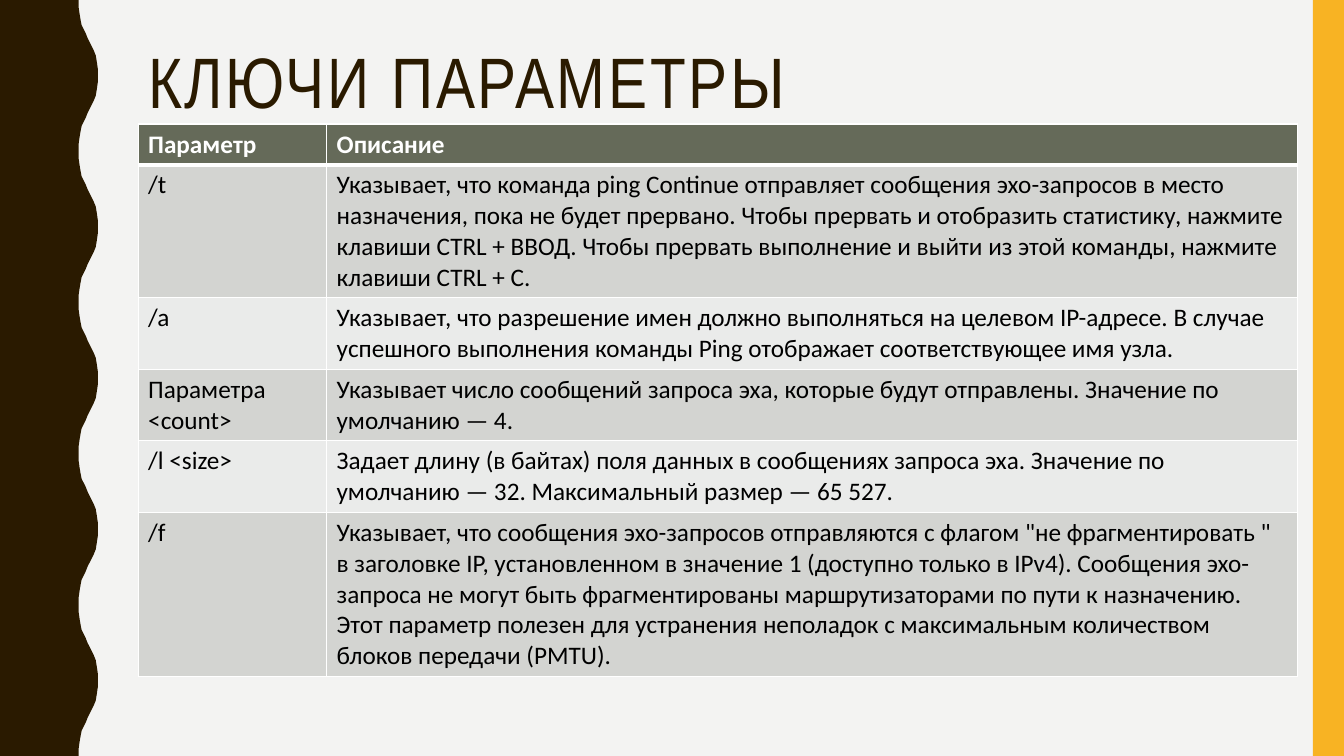
from lxml import etree
from pptx import Presentation
from pptx.dml.color import RGBColor
from pptx.enum.shapes import MSO_SHAPE
from pptx.enum.text import MSO_ANCHOR
from pptx.oxml.ns import qn
from pptx.util import Inches, Pt

RECTANGLE = MSO_SHAPE.RECTANGLE
TOP = MSO_ANCHOR.TOP

COLORS = {
    "background": "F3F3F2",
    "brown": "2A1A00",
    "yellow": "F8B323",
    "header": "656A59",
    "odd_row": "D3D4D1",
    "even_row": "EAEBEA",
    "white": "FFFFFF",
    "black": "000000",
}
PAGE_WIDTH, PAGE_HEIGHT = 13.33, 7.5

# One rising half of the wave, as (x, y) in hundredths of an inch
HALF_WAVE = [(78, 0), (78, 7), (79, 14), (80, 20), (81, 25), (83, 29), (85, 33), (87, 38),
             (89, 42), (91, 46), (93, 50), (95, 55), (96, 61), (97, 68), (97, 75)]
WAVE_PERIOD = 150
WAVE_COUNT = 5

COLUMN_WIDTHS = (1.87, 9.63)
LINE_HEIGHT = 0.305
# Each row: parameter, description, number of text lines
ROWS = [
    ("Параметр", "Описание", 1),
    ("/t", "Указывает, что команда ping Continue отправляет сообщения эхо-запросов в место "
     "назначения, пока не будет прервано. Чтобы прервать и отобразить статистику, нажмите "
     "клавиши CTRL + ВВОД. Чтобы прервать выполнение и выйти из этой команды, нажмите "
     "клавиши CTRL + C.", 4),
    ("/a", "Указывает, что разрешение имен должно выполняться на целевом IP-адресе. В случае "
     "успешного выполнения команды Ping отображает соответствующее имя узла.", 2),
    ("Параметра <count>", "Указывает число сообщений запроса эха, которые будут отправлены. "
     "Значение по умолчанию — 4.", 2),
    ("/l <size>", "Задает длину (в байтах) поля данных в сообщениях запроса эха. Значение по "
     "умолчанию — 32. Максимальный размер — 65 527.", 2),
    ("/f", "Указывает, что сообщения эхо-запросов отправляются с флагом \"не фрагментировать \" "
     "в заголовке IP, установленном в значение 1 (доступно только в IPv4). Сообщения "
     "эхо-запроса не могут быть фрагментированы маршрутизаторами по пути к назначению. "
     "Этот параметр полезен для устранения неполадок с максимальным количеством блоков "
     "передачи (PMTU).", 5),
]


def color(name):
    return RGBColor.from_string(COLORS[name])


def paint(shape, name):
    shape.fill.solid()
    shape.fill.fore_color.rgb = color(name)
    shape.line.fill.background()
    shape.shadow.inherit = False


def add_wave(page):
    falling = [(x, WAVE_PERIOD - y) for x, y in reversed(HALF_WAVE[:-1])]
    edge = [(x, y + number * WAVE_PERIOD)
            for number in range(WAVE_COUNT) for x, y in HALF_WAVE + falling]
    outline = page.shapes.build_freeform(0, 0, scale=Inches(0.01))
    outline.add_line_segments(edge + [(0, WAVE_COUNT * WAVE_PERIOD)], close=True)
    paint(outline.convert_to_shape(), "brown")


def add_side_bar(page, left, top, width, height):
    bar = page.shapes.add_shape(
        RECTANGLE, Inches(left), Inches(top), Inches(width), Inches(height))
    paint(bar, "yellow")


def add_title(page, left, top, width, height):
    box = page.shapes.add_textbox(Inches(left), Inches(top), Inches(width), Inches(height))
    frame = box.text_frame
    frame.word_wrap = True
    frame.vertical_anchor = TOP
    para = frame.paragraphs[0]
    para.line_spacing = 0.9
    para.font.size = Pt(51)
    para.font.name = "Arial Narrow"
    para.font.color.rgb = color("brown")
    span = para.add_run()
    span.text = "КЛЮЧИ ПАРАМЕТРЫ"
    span.font._element.set("spc", "200")


def set_borders(cell, widths):
    properties = cell._tc.get_or_add_tcPr()
    for index, (side, points) in enumerate(widths.items()):
        border = etree.Element(qn("a:" + side), w=str(Pt(points)))
        fill = etree.SubElement(border, qn("a:solidFill"))
        etree.SubElement(fill, qn("a:srgbClr"), val=COLORS["white"])
        properties.insert(index, border)


def fill_cell(cell, text, row_number):
    is_header = row_number == 0
    fill_name = "header" if is_header else ("even_row", "odd_row")[row_number % 2]
    cell.fill.solid()
    cell.fill.fore_color.rgb = color(fill_name)
    cell.text = text
    font = cell.text_frame.paragraphs[0].font
    font.size = Pt(18)
    font.name = "Calibri"
    font.bold = is_header
    font.color.rgb = color("white" if is_header else "black")
    set_borders(cell, {"lnL": 1, "lnR": 1,
                       "lnT": 3 if row_number == 1 else 1,
                       "lnB": 3 if is_header else 1})


def add_parameter_table(page, left, top):
    heights = [0.1 + LINE_HEIGHT * lines for _, _, lines in ROWS]
    table = page.shapes.add_table(
        len(ROWS), len(COLUMN_WIDTHS), Inches(left), Inches(top),
        Inches(sum(COLUMN_WIDTHS)), Inches(sum(heights))).table
    for column, width in zip(table.columns, COLUMN_WIDTHS):
        column.width = Inches(width)
    for row_number, (parameter, description, _) in enumerate(ROWS):
        table.rows[row_number].height = Inches(heights[row_number])
        for column_number, text in enumerate((parameter, description)):
            fill_cell(table.cell(row_number, column_number), text, row_number)


def main():
    deck = Presentation()
    deck.slide_width = Inches(PAGE_WIDTH)
    deck.slide_height = Inches(PAGE_HEIGHT)
    page = deck.slides.add_slide(deck.slide_layouts[6])
    page.background.fill.solid()
    page.background.fill.fore_color.rgb = color("background")

    # Decoration at both edges
    add_wave(page)
    add_side_bar(page, PAGE_WIDTH - 0.31, 0, 0.31, PAGE_HEIGHT)

    # Title and table
    add_title(page, 1.37, 0.42, 11.13, 1.63)
    add_parameter_table(page, 1.37, 1.23)

    deck.save("out.pptx")


if __name__ == "__main__":
    main()
